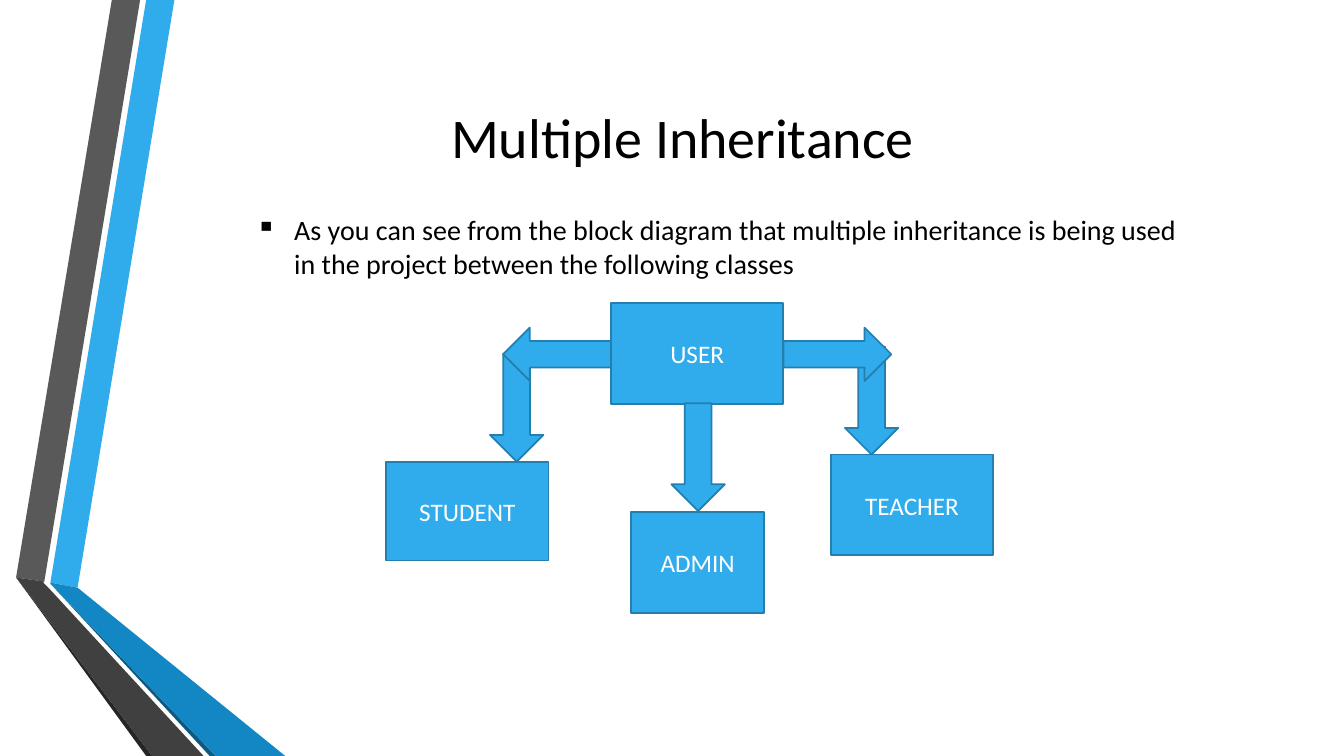
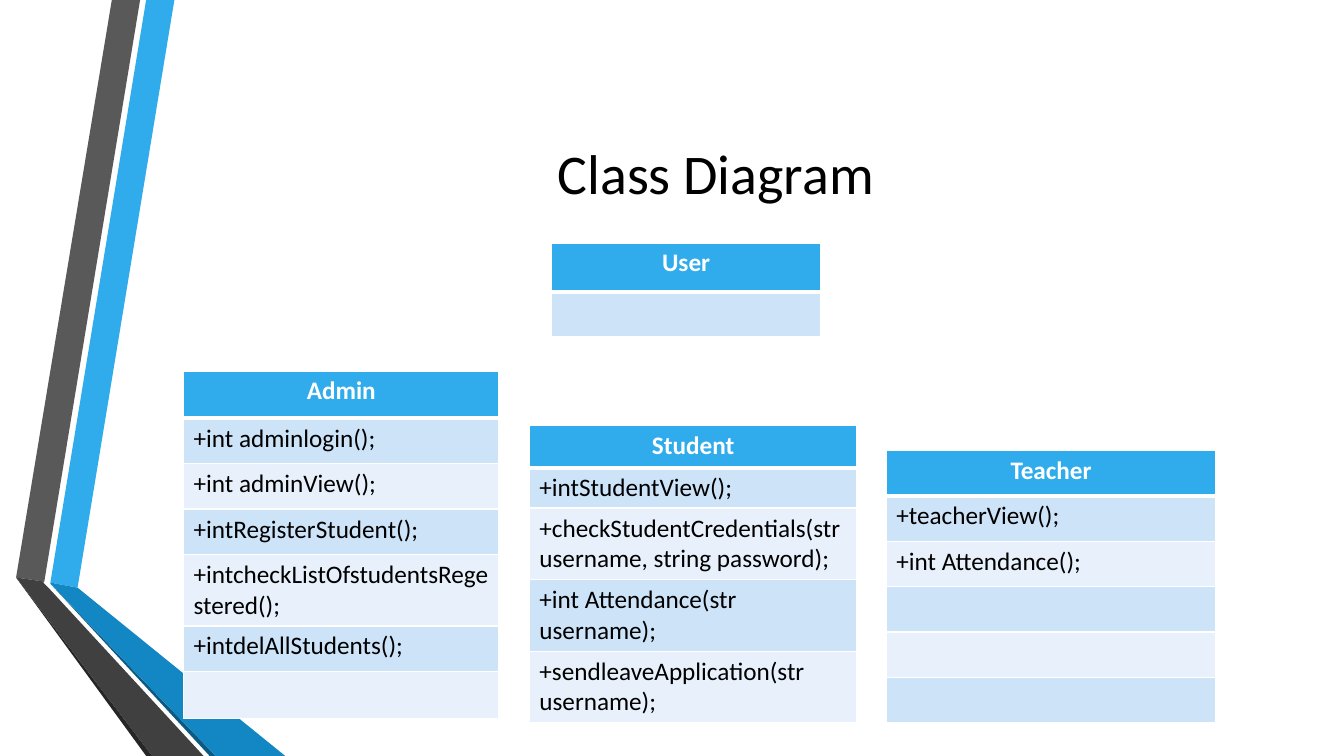
from lxml.etree import SubElement
from pptx import Presentation
from pptx.dml.color import RGBColor
from pptx.enum.shapes import MSO_SHAPE
from pptx.enum.text import MSO_ANCHOR, PP_ALIGN
from pptx.oxml import parse_xml
from pptx.oxml.ns import nsdecls, qn
from pptx.util import Pt

SCALE = 9144
WIDTH, HEIGHT = 1333, 750
FONT = "Calibri"
COLORS = {
    "blue": "30ACEC",
    "edge": "247FAF",
    "deep": "1287C3",
    "navy": "0C5A82",
    "gray": "595959",
    "dark": "404040",
    "coal": "262626",
    "odd": "CDE3F8",
    "even": "E8F1FB",
    "white": "FFFFFF",
    "black": "000000",
}
BANDS = [
    ("blue", [(50, 578), (77, 583), (173, 0), (145, 0)]),
    ("gray", [(139, 0), (111, 0), (16, 573), (44, 577)]),
    ("coal", [(16, 573), (145, 750), (151, 750)]),
    ("navy", [(50, 579), (208, 750), (214, 750)]),
    ("deep", [(50, 578), (50, 579), (214, 750), (283, 750), (77, 583)]),
    ("dark", [(202, 750), (48, 583), (43, 578), (44, 577), (16, 573), (151, 750)]),
]


def px(*sizes):
    return [size * SCALE for size in sizes]


def tint(name):
    return RGBColor.from_string(COLORS[name])


class Deck:
    def __init__(self):
        self.show = Presentation()
        self.show.slide_width, self.show.slide_height = px(WIDTH, HEIGHT)
        self.slide = None

    def page(self, title, *area):
        self.slide = self.show.slides.add_slide(self.show.slide_layouts[6])
        for color, points in BANDS:
            self.band(color, points)
        self.text(title, 40, *area, align=PP_ALIGN.CENTER, anchor=MSO_ANCHOR.MIDDLE)

    def paint(self, shape, fill, line=None):
        shape.shadow.inherit = False
        shape.fill.solid()
        shape.fill.fore_color.rgb = tint(fill)
        if line:
            shape.line.color.rgb = tint(line)
            shape.line.width = Pt(1.25)
        else:
            shape.line.fill.background()

    def label(self, frame, text, size, color, align, bold=False):
        para = frame.paragraphs[0]
        para.text = text
        para.alignment = align
        font = para.font
        font.name, font.size, font.bold = FONT, Pt(size), bold
        font.color.rgb = tint(color)
        return para

    def band(self, color, points):
        form = self.slide.shapes.build_freeform(*points[0], scale=SCALE)
        form.add_line_segments(points[1:], close=True)
        self.paint(form.convert_to_shape(), color)

    def text(self, text, size, *area, align=PP_ALIGN.LEFT, anchor=MSO_ANCHOR.TOP):
        frame = self.slide.shapes.add_textbox(*px(*area)).text_frame
        frame.word_wrap = True
        frame.vertical_anchor = anchor
        return self.label(frame, text, size, "black", align)

    def bullet(self, text, size, *area):
        props = self.text(text, size, *area)._p.get_or_add_pPr()
        indent, = px(38)
        props.set("marL", str(indent))
        props.set("indent", str(-indent))
        mark = parse_xml(f'<a:buChar {nsdecls("a")} char="▪"/>')
        props.insert_element_before(mark, "a:tabLst", "a:defRPr", "a:extLst")

    def box(self, text, *area):
        shape = self.slide.shapes.add_shape(MSO_SHAPE.RECTANGLE, *px(*area))
        self.paint(shape, "blue", "edge")
        shape.text_frame.vertical_anchor = MSO_ANCHOR.MIDDLE
        self.label(shape.text_frame, text, 18, "white", PP_ALIGN.CENTER)

    def arrow(self, kind, left, top):
        size = (53, 107) if kind == MSO_SHAPE.DOWN_ARROW else (107, 53)
        shape = self.slide.shapes.add_shape(kind, *px(left, top, *size))
        self.paint(shape, "blue", "edge")

    def border(self, cell, top, bottom):
        props = cell._tc.get_or_add_tcPr()
        sides = [("L", 1), ("R", 1), ("T", top), ("B", bottom)]
        for spot, (side, width) in enumerate(sides):
            line = parse_xml(f'<a:ln{side} {nsdecls("a")} w="{Pt(width)}"/>')
            fill = SubElement(line, qn("a:solidFill"))
            SubElement(fill, qn("a:srgbClr"), val=COLORS["white"])
            props.insert(spot, line)

    def table(self, left, top, width, heights, name, *items):
        count = len(heights)
        area = px(left, top, width, sum(heights))
        table = self.slide.shapes.add_table(count, 1, *area).table
        table.first_row = table.horz_banding = False
        for row, height in enumerate(heights):
            table.rows[row].height, = px(height)
            cell = table.cell(row, 0)
            head = row == 0
            cell.fill.solid()
            shade = "blue" if head else "odd" if row % 2 else "even"
            cell.fill.fore_color.rgb = tint(shade)
            self.border(cell, 3 if row == 1 else 1, 3 if head else 1)
            if head:
                self.label(cell.text_frame, name, 18, "white", PP_ALIGN.CENTER, True)
            elif row <= len(items):
                self.label(cell.text_frame, items[row - 1], 18, "black", PP_ALIGN.LEFT)


def main():
    deck = Deck()

    deck.page("Multiple Inheritance", 100, 45, 1154, 181)
    deck.box("USER", 606, 301, 171, 100)
    deck.box("STUDENT", 383, 458, 161, 98)
    deck.box("TEACHER", 824, 451, 161, 100)
    deck.arrow(MSO_SHAPE.DOWN_ARROW, 486, 351)
    deck.arrow(MSO_SHAPE.DOWN_ARROW, 838, 344)
    deck.arrow(MSO_SHAPE.LEFT_ARROW, 499, 325)
    deck.arrow(MSO_SHAPE.RIGHT_ARROW, 777, 325)
    deck.box("ADMIN", 626, 508, 132, 100)
    deck.arrow(MSO_SHAPE.DOWN_ARROW, 666, 400)
    deck.bullet(
        "As you can see from the block diagram that multiple inheritance "
        "is being used in the project between the following classes",
        20, 244, 206, 950, 77,
    )

    deck.page("Class Diagram", 162, 75, 1096, 192)
    deck.table(
        525, 422, 325, [42, 39, 71, 71, 71], "Student",
        "+intStudentView();",
        "+checkStudentCredentials(strusername, string password);",
        "+int Attendance(str username);",
        "+sendleaveApplication(str username);",
    )
    deck.table(
        182, 368, 313, [47, 45, 45, 45, 71, 45, 47], "Admin",
        "+int adminlogin();",
        "+int adminView();",
        "+intRegisterStudent();",
        "+intcheckListOfstudentsRegestered();",
        "+intdelAllStudents();",
    )
    deck.table(
        879, 447, 327, [45] * 6, "Teacher",
        "+teacherView();",
        "+int Attendance();",
    )
    deck.table(547, 241, 267, [49, 44], "User")

    deck.show.save("out.pptx")


if __name__ == "__main__":
    main()
